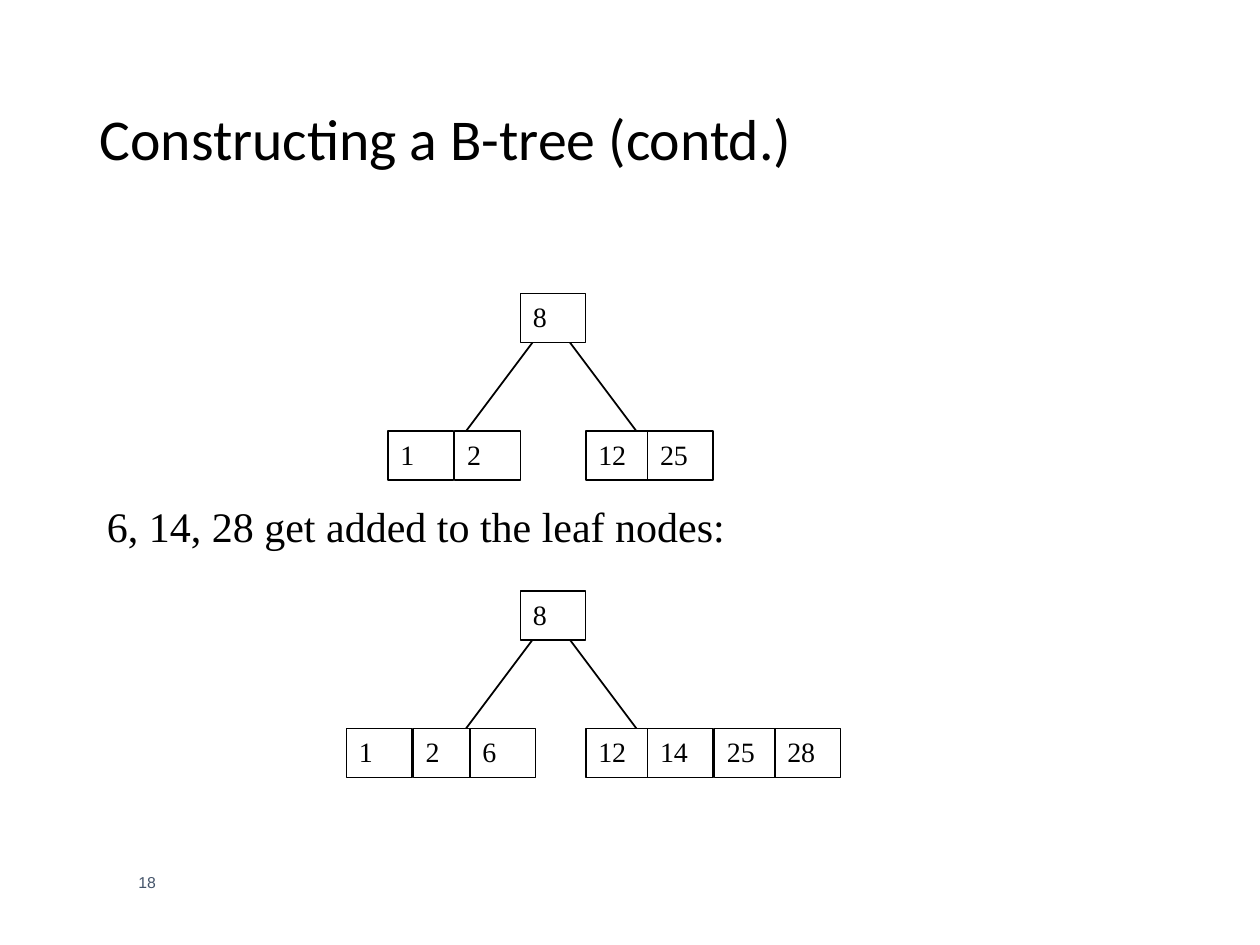
from dataclasses import dataclass

from lxml.etree import SubElement
from pptx import Presentation
from pptx.dml.color import RGBColor
from pptx.enum.shapes import MSO_CONNECTOR, MSO_SHAPE
from pptx.enum.text import MSO_ANCHOR, PP_ALIGN
from pptx.oxml.ns import qn
from pptx.util import Inches, Pt


@dataclass(frozen=True)
class Theme:
    ink: RGBColor = RGBColor(0, 0, 0)
    paper: RGBColor = RGBColor(255, 255, 255)
    muted: RGBColor = RGBColor(0x44, 0x54, 0x6A)
    title_font: str = "Calibri"
    body_font: str = "Times New Roman"
    number_font: str = "Arial"
    title_size: float = 33
    caption_size: float = 24
    key_size: float = 16
    number_size: float = 9
    box_line: float = 0.75
    branch_line: float = 1


THEME = Theme()
KEY_W, KEY_H = 0.52, 0.39
ROOT_X = 4.13
LEAF_DROP = 1.09
BRANCH_TOP, BRANCH_W, BRANCH_H = 0.25, 0.75, 1


def set_text(sp, text, font, size, color, anchor):
    tf = sp.text_frame
    tf.text = text
    tf.word_wrap = True
    tf.vertical_anchor = anchor
    p = tf.paragraphs[0]
    p.alignment = PP_ALIGN.LEFT
    r = p.runs[0]
    r.font.name = font
    r.font.size = Pt(size)
    r.font.color.rgb = color


def add_title(s, text):
    sp = s.shapes.title
    sp.left, sp.top, sp.width, sp.height = map(Inches, (0.69, 0.4, 8.62, 1.45))
    set_text(sp, text, THEME.title_font, THEME.title_size, THEME.ink, MSO_ANCHOR.MIDDLE)
    sp.text_frame.paragraphs[0].line_spacing = 0.9


def add_label(shapes, box, text, font, size, color, anchor):
    sp = shapes.add_textbox(*map(Inches, box))
    set_text(sp, text, font, size, color, anchor)


def add_key(shapes, x, y, key):
    sp = shapes.add_shape(MSO_SHAPE.RECTANGLE, *map(Inches, (x, y, KEY_W, KEY_H)))
    sp.shadow.inherit = False
    sp.fill.solid()
    sp.fill.fore_color.rgb = THEME.paper
    sp.line.color.rgb = THEME.ink
    sp.line.width = Pt(THEME.box_line)
    set_text(sp, str(key), THEME.body_font, THEME.key_size, THEME.ink, MSO_ANCHOR.TOP)


def add_branch(shapes, x, y, dx):
    ends = map(Inches, (x, y, x + dx, y + BRANCH_H))
    ln = shapes.add_connector(MSO_CONNECTOR.STRAIGHT, *ends)
    ln.line.color.rgb = THEME.ink
    ln.line.width = Pt(THEME.branch_line)
    SubElement(ln._element.spPr, qn("a:effectLst"))


def add_tree(shapes, y, root, leaves):
    add_branch(shapes, 4.33, y + BRANCH_TOP, -BRANCH_W)
    add_branch(shapes, 4.42, y + BRANCH_TOP, BRANCH_W)
    add_key(shapes, ROOT_X, y, root)
    for key, x in leaves.items():
        add_key(shapes, x, y + LEAF_DROP, key)


def main():
    prs = Presentation()
    prs.slide_width, prs.slide_height = Inches(10), Inches(7.5)
    s = prs.slides.add_slide(prs.slide_layouts[5])
    add_title(s, "Constructing a B-tree (contd.)")
    add_label(s.shapes, (1, 6.75, 4.33, 0.5), "18",
              THEME.number_font, THEME.number_size, THEME.muted, MSO_ANCHOR.MIDDLE)
    add_tree(s.shapes, 2.33, 8, {1: 3.08, 2: 3.61, 12: 4.65, 25: 5.14})
    step = s.shapes.add_group_shape().shapes
    add_label(step, (0.75, 3.92, 8.58, 0.5), "6, 14, 28 get added to the leaf nodes:",
              THEME.body_font, THEME.caption_size, THEME.ink, MSO_ANCHOR.TOP)
    add_tree(step, 4.69, 8,
             {1: 2.75, 2: 3.28, 6: 3.73, 12: 4.65, 14: 5.14, 25: 5.67, 28: 6.15})
    prs.save("out.pptx")


if __name__ == "__main__":
    main()
